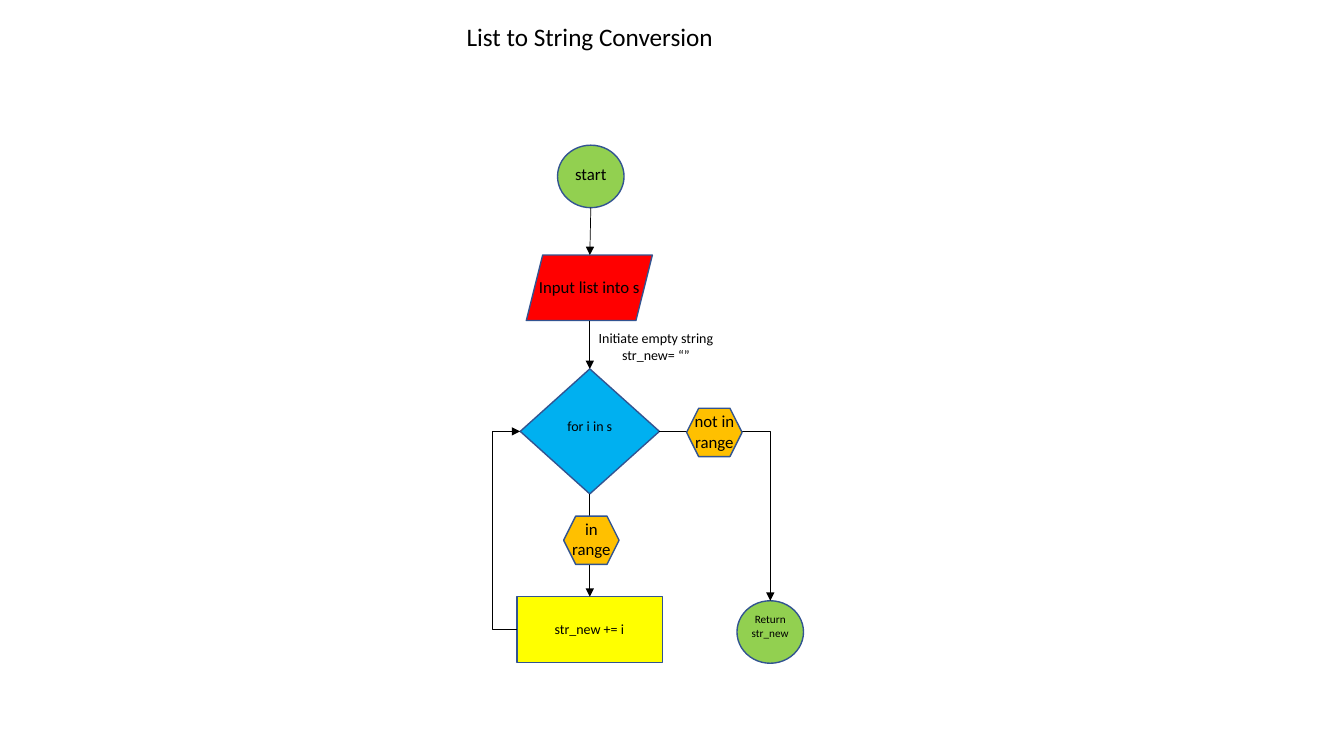
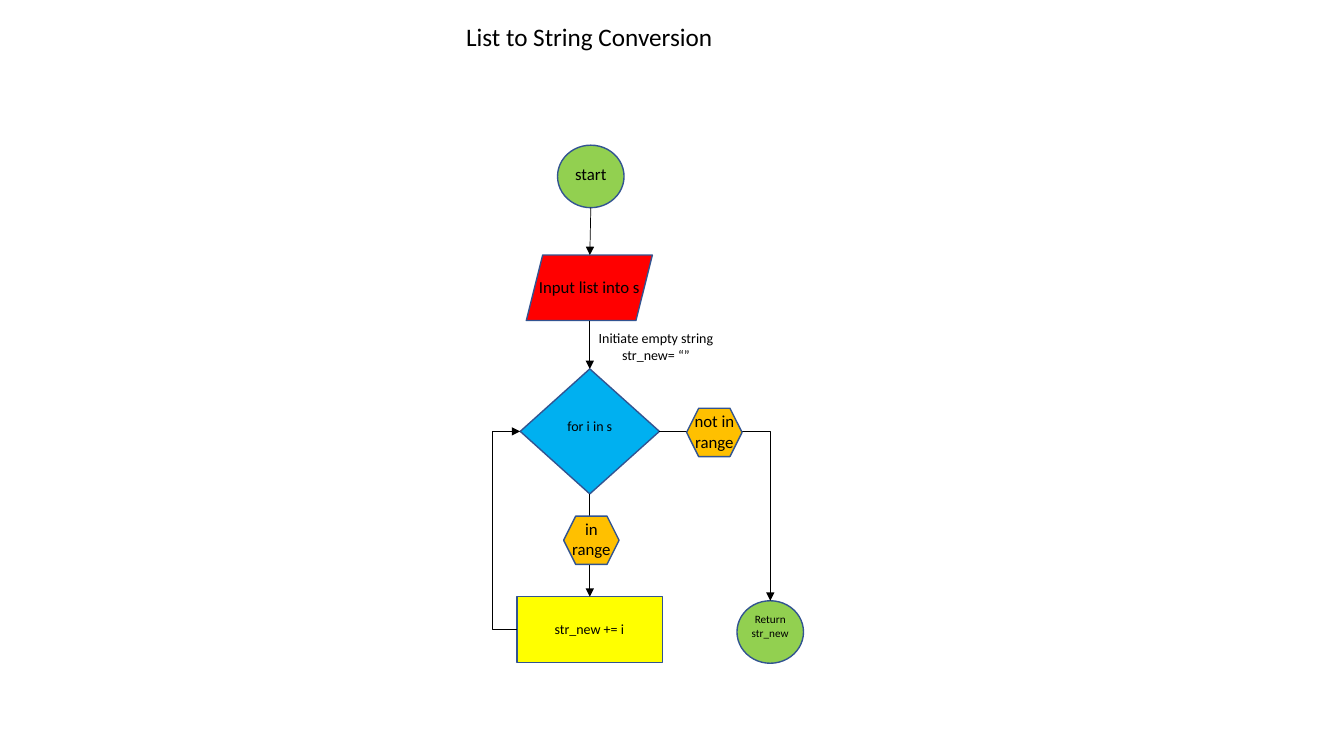
"""Build two slides with the flowchart for list to string conversion."""
from dataclasses import dataclass
from lxml.etree import SubElement
from pptx import Presentation
from pptx.dml.color import RGBColor
from pptx.enum.shapes import MSO_CONNECTOR, MSO_SHAPE
from pptx.enum.text import MSO_ANCHOR, MSO_AUTO_SIZE, PP_ALIGN
from pptx.oxml.ns import qn
from pptx.util import Inches, Pt


@dataclass(frozen=True)
class Theme:
    font: str = "Calibri"
    ink: str = "000000"
    edge: str = "325491"
    green: str = "92D050"
    red: str = "FF0000"
    blue: str = "00B0F0"
    amber: str = "FFC000"
    yellow: str = "FFFF00"
    title: int = 18
    large: int = 12
    small: int = 10
    tiny: int = 8
    border: float = 1
    wire: float = 0.5


theme = Theme()


def write(frame, text, size):
    frame.text = text
    frame.word_wrap = True
    frame.auto_size = MSO_AUTO_SIZE.NONE
    frame.vertical_anchor = MSO_ANCHOR.TOP
    para = frame.paragraphs[0]
    para.alignment = PP_ALIGN.CENTER
    para.font.name = theme.font
    para.font.size = Pt(size)
    para.font.bold = False
    para.font.color.rgb = RGBColor.from_string(theme.ink)


def draw(slide, kind, box, fill):
    shape = slide.shapes.add_shape(kind, *map(Inches, box))
    shape.shadow.inherit = False
    shape.fill.solid()
    shape.fill.fore_color.rgb = RGBColor.from_string(fill)
    shape.line.color.rgb = RGBColor.from_string(theme.edge)
    shape.line.width = Pt(theme.border)
    return shape


heads = [(1.93, 0.16, 7.84, 0.4), (4.41, 0.16, 2.87, 0.4)]
nodes = {
    "step": (MSO_SHAPE.RECTANGLE, (5.13, 5.92, 1.44, 0.65), theme.yellow),
    "loop": (MSO_SHAPE.DIAMOND, (5.16, 3.66, 1.38, 1.24), theme.blue),
    "input": (MSO_SHAPE.PARALLELOGRAM, (5.22, 2.53, 1.25, 0.65), theme.red),
    "start": (MSO_SHAPE.OVAL, (5.53, 1.44, 0.66, 0.62), theme.green),
    "return": (MSO_SHAPE.OVAL, (7.31, 5.96, 0.66, 0.62), theme.green),
}
links = [
    ("line", (5.86, 2.06, 5.85, 2.53), None, None),
    ("line", (5.85, 3.18, 5.85, 3.66), None, ("loop", 0)),
    ("line", (5.85, 4.9, 5.85, 5.92), ("loop", 2), ("step", 0)),
    ("bentConnector3", (5.13, 6.25, 5.16, 4.28), ("step", 1), ("loop", 1)),
    ("bentConnector2", (6.54, 4.28, 7.64, 5.96), ("loop", 3), ("return", 0)),
]
tags = [(5.59, 5.12, 0.55, 0.48), (6.81, 4.05, 0.55, 0.48)]
labels = [
    ("start", (5.53, 1.58, 0.66, 0.3), theme.large),
    ("Input list into s", (5.21, 2.7, 1.27, 0.3), theme.large),
    ("Initiate empty string str_new= “”", (5.63, 3.22, 1.75, 0.44), theme.small),
    ("for i in s", (5.27, 4.09, 1.16, 0.27), theme.small),
    ("in range", (5.52, 5.1, 0.69, 0.5), theme.large),
    ("not in range", (6.74, 4.03, 0.69, 0.5), theme.large),
    ("str_new += i", (5.33, 6.11, 1.03, 0.27), theme.small),
    ("Return str_new", (7.31, 6.03, 0.66, 0.37), theme.tiny),
]

deck = Presentation()
deck.slide_width = Inches(13.33)
deck.slide_height = Inches(7.5)

for head in heads:
    slide = deck.slides.add_slide(deck.slide_layouts[5])
    title = slide.shapes.title
    title.left, title.top, title.width, title.height = map(Inches, head)
    write(title.text_frame, "List to String Conversion", theme.title)

    shapes = {name: draw(slide, *node) for name, node in nodes.items()}

    for form, ends, tail, tip in links:
        kind = MSO_CONNECTOR.STRAIGHT if form == "line" else MSO_CONNECTOR.ELBOW
        link = slide.shapes.add_connector(kind, *map(Inches, ends))
        if tail:
            link.begin_connect(shapes[tail[0]], tail[1])
        if tip:
            link.end_connect(shapes[tip[0]], tip[1])
        link.line.color.rgb = RGBColor.from_string(theme.ink)
        link.line.width = Pt(theme.wire)
        props = link.element.spPr
        SubElement(props.find(qn("a:ln")), qn("a:tailEnd"), type="triangle")
        SubElement(props, qn("a:effectLst"))
        shape = props.find(qn("a:prstGeom"))
        shape.set("prst", form)
        if form == "bentConnector3":
            guides = shape.find(qn("a:avLst"))
            SubElement(guides, qn("a:gd"), name="adj1", fmla="val -838900")

    for tag in tags:
        draw(slide, MSO_SHAPE.HEXAGON, tag, theme.amber)

    for text, box, size in labels:
        label = slide.shapes.add_textbox(*map(Inches, box))
        write(label.text_frame, text, size)

deck.save("out.pptx")
